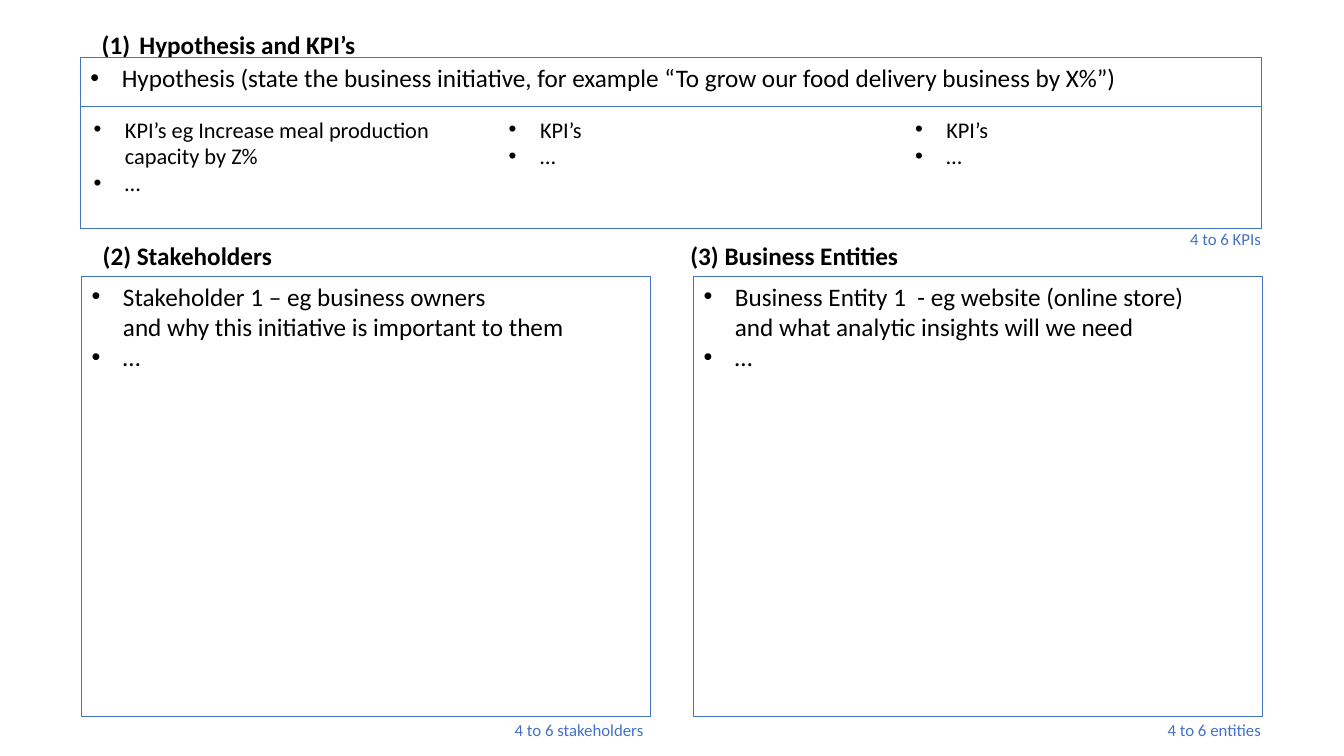
from lxml import etree
from pptx import Presentation
from pptx import util as u
from pptx.dml.color import RGBColor
from pptx.enum import shapes, text
from pptx.oxml.ns import qn

COLOURS = {"text": "000000", "accent": "4472C4"}
FONT = "Calibri"
BULLET_INDENT = 0.79
NUMBER_INDENT = 0.95
NOTE_WIDTH, NOTE_HEIGHT = 5.46, 0.76


def add_marker(paragraph, tag, indent, **attributes):
    """Give a paragraph a hanging bullet or number."""
    properties = paragraph._p.get_or_add_pPr()
    properties.set("marL", str(u.Cm(indent)))
    properties.set("indent", str(-u.Cm(indent)))
    etree.SubElement(properties, qn("a:buFont"), typeface="Arial" if tag == "a:buChar" else "+mj-lt")
    etree.SubElement(properties, qn(tag), **attributes)


def write(shape, lines, size, colour="text", bold=False, bulleted=False,
          anchor=text.MSO_ANCHOR.TOP, align=text.PP_ALIGN.LEFT, spacing=1.0):
    frame = shape.text_frame
    frame_format = {"word_wrap": True, "auto_size": text.MSO_AUTO_SIZE.NONE,
                    "vertical_anchor": anchor}
    for name, value in frame_format.items():
        setattr(frame, name, value)
    for index, line in enumerate(lines):
        paragraph = frame.add_paragraph() if index else frame.paragraphs[0]
        paragraph.text = line
        paragraph_format = {"alignment": align, "line_spacing": spacing,
                            "space_before": u.Pt(0)}
        for name, value in paragraph_format.items():
            setattr(paragraph, name, value)
        if bulleted:
            add_marker(paragraph, "a:buChar", BULLET_INDENT, char="•")
        for run in paragraph.runs:
            for name, value in {"name": FONT, "size": u.Pt(size), "bold": bold}.items():
                setattr(run.font, name, value)
            run.font.color.rgb = RGBColor.from_string(COLOURS[colour])


def add_text(slide, left, top, width, height, lines, size, **style):
    shape = slide.shapes.add_textbox(*map(u.Cm, (left, top, width, height)))
    write(shape, lines, size, **style)


def add_frame(slide, left, top, width, height, lines=()):
    """Add an outlined box, with 18 pt bullets if it has lines."""
    shape = slide.shapes.add_shape(shapes.MSO_SHAPE.RECTANGLE,
                                   *map(u.Cm, (left, top, width, height)))
    shape.shadow.inherit = False
    shape.fill.background()
    shape.line.color.rgb = RGBColor.from_string(COLOURS["accent"])
    shape.line.width = u.Pt(0.75)
    write(shape, lines, 18, bulleted=True)


def add_note(slide, right, top, line):
    add_text(slide, right - NOTE_WIDTH, top, NOTE_WIDTH, NOTE_HEIGHT, [line], 12,
             colour="accent", align=text.PP_ALIGN.RIGHT)


def add_hypothesis(slide, left, top, width, height):
    title = slide.shapes.title
    title.left, title.top, title.width, title.height = map(
        u.Cm, (left + 0.28, top - 0.84, width - 0.56, 1.02))
    write(title, ["Hypothesis and KPI’s"], 18, bold=True)
    add_marker(title.text_frame.paragraphs[0], "a:buAutoNum", NUMBER_INDENT,
               type="arabicParenBoth")

    kpi_top = top + 1.24
    add_frame(slide, left, kpi_top, width, height - 1.24)
    add_frame(slide, left, top, width, height, [
        "Hypothesis (state the business initiative, for example "
        "“To grow our food delivery business by X%”)"])
    columns = [
        (0.08, "KPI’s eg Increase meal production capacity by Z%"),
        (10.54, "KPI’s"),
        (20.78, "KPI’s"),
    ]
    for offset, kpi in columns:
        add_text(slide, left + offset, kpi_top + 0.1, 8.99, 2.3, [kpi, "…"], 16,
                 bulleted=True)
    add_note(slide, left + width + 0.23, top + height - 0.13, "4 to 6 KPIs")


def add_list_panel(slide, left, top, width, height, heading, heading_offset,
                   lines, note, note_offset):
    add_text(slide, left + heading_offset, top - 1.24, width, 1.24, [heading], 18,
             bold=True, anchor=text.MSO_ANCHOR.BOTTOM, spacing=0.9)
    add_frame(slide, left, top, width, height, lines)
    add_note(slide, left + width + note_offset, top + height - 0.06, note)


def main():
    presentation = Presentation()
    presentation.slide_width, presentation.slide_height = u.Cm(33.87), u.Cm(19.05)
    slide = presentation.slides.add_slide(presentation.slide_layouts[5])

    add_hypothesis(slide, 2.03, 1.45, 29.77, 4.32)
    add_list_panel(
        slide, 2.06, 6.96, 14.33, 11.1, "(2) Stakeholders", 0.28,
        ["Stakeholder 1 – eg business owners\n"
         "and why this initiative is important to them", "…"],
        "4 to 6 stakeholders", 0.08)
    add_list_panel(
        slide, 17.48, 6.96, 14.33, 11.1, "(3) Business Entities", -0.33,
        ["Business Entity 1  - eg website (online store)\n"
         "and what analytic insights will we need", "…"],
        "4 to 6 entities", 0.22)

    presentation.save("out.pptx")


if __name__ == "__main__":
    main()
